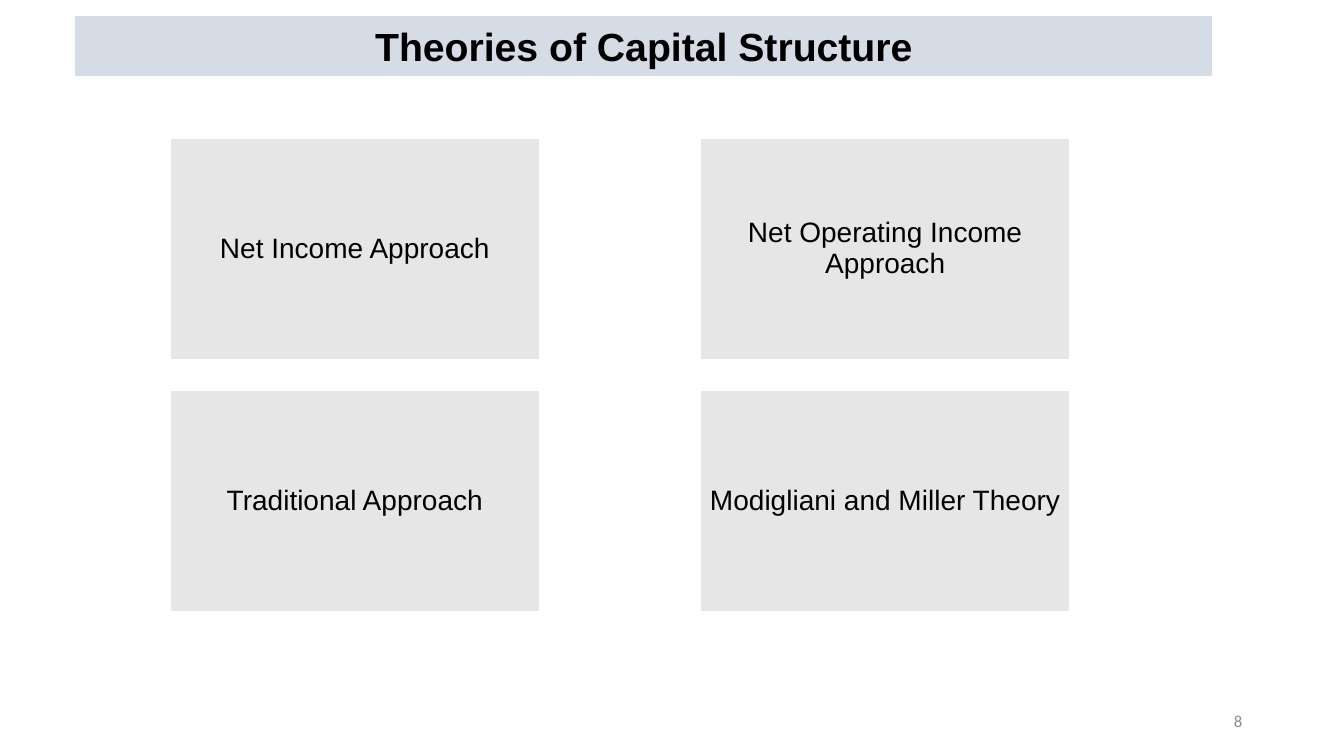
from pptx import Presentation
from pptx.dml.color import RGBColor
from pptx.enum import shapes, text
from pptx.util import Inches, Pt

BLACK = RGBColor(0x00, 0x00, 0x00)
WHITE = RGBColor(0xFF, 0xFF, 0xFF)
TITLE_FILL = RGBColor(0xD6, 0xDC, 0xE5)
CARD_FILL = RGBColor(0xE7, 0xE6, 0xE6)
NUMBER_GRAY = RGBColor(0x8C, 0x8C, 0x8C)


def write(box, wording, font_name, size, color, alignment):
    frame = box.text_frame
    frame.word_wrap = True
    frame.vertical_anchor = text.MSO_ANCHOR.MIDDLE
    para = frame.paragraphs[0]
    para.text = wording
    para.alignment = alignment
    para.font.name = font_name
    para.font.size = Pt(size)
    para.font.color.rgb = color
    return para


def add_panel(page, left, top, width, height, fill, wording, size):
    panel = page.shapes.add_shape(
        shapes.MSO_SHAPE.RECTANGLE,
        Inches(left), Inches(top), Inches(width), Inches(height))
    panel.shadow.inherit = False
    panel.fill.solid()
    panel.fill.fore_color.rgb = fill
    panel.line.color.rgb = WHITE
    panel.line.width = Pt(1)
    write(panel, wording, "Arial", size, BLACK, text.PP_ALIGN.CENTER)
    return panel


deck = Presentation()
deck.slide_width = Inches(13.33)
deck.slide_height = Inches(7.5)
page = deck.slides.add_slide(deck.slide_layouts[6])

title = add_panel(page, 0.74, 0.15, 11.29, 0.61, TITLE_FILL,
                  "Theories of Capital Structure", 28)
title.text_frame.paragraphs[0].font.bold = True

theories = [
    "Net Income Approach",
    "Net Operating Income Approach",
    "Traditional Approach",
    "Modigliani and Miller Theory",
]
for index, theory in enumerate(theories):
    row, column = divmod(index, 2)
    card = add_panel(page, 1.69 + 5.26 * column, 1.37 + 2.5 * row, 3.66, 2.2,
                     CARD_FILL, theory, 20)
    frame = card.text_frame
    frame.margin_left = frame.margin_right = Inches(0.08)
    frame.margin_top = frame.margin_bottom = Inches(0.08)
    frame.paragraphs[0].line_spacing = 0.9

number = page.shapes.add_textbox(Inches(9.42), Inches(6.95), Inches(3), Inches(0.4))
write(number, "8", "Calibri", 12, NUMBER_GRAY, text.PP_ALIGN.RIGHT)

deck.save("out.pptx")
